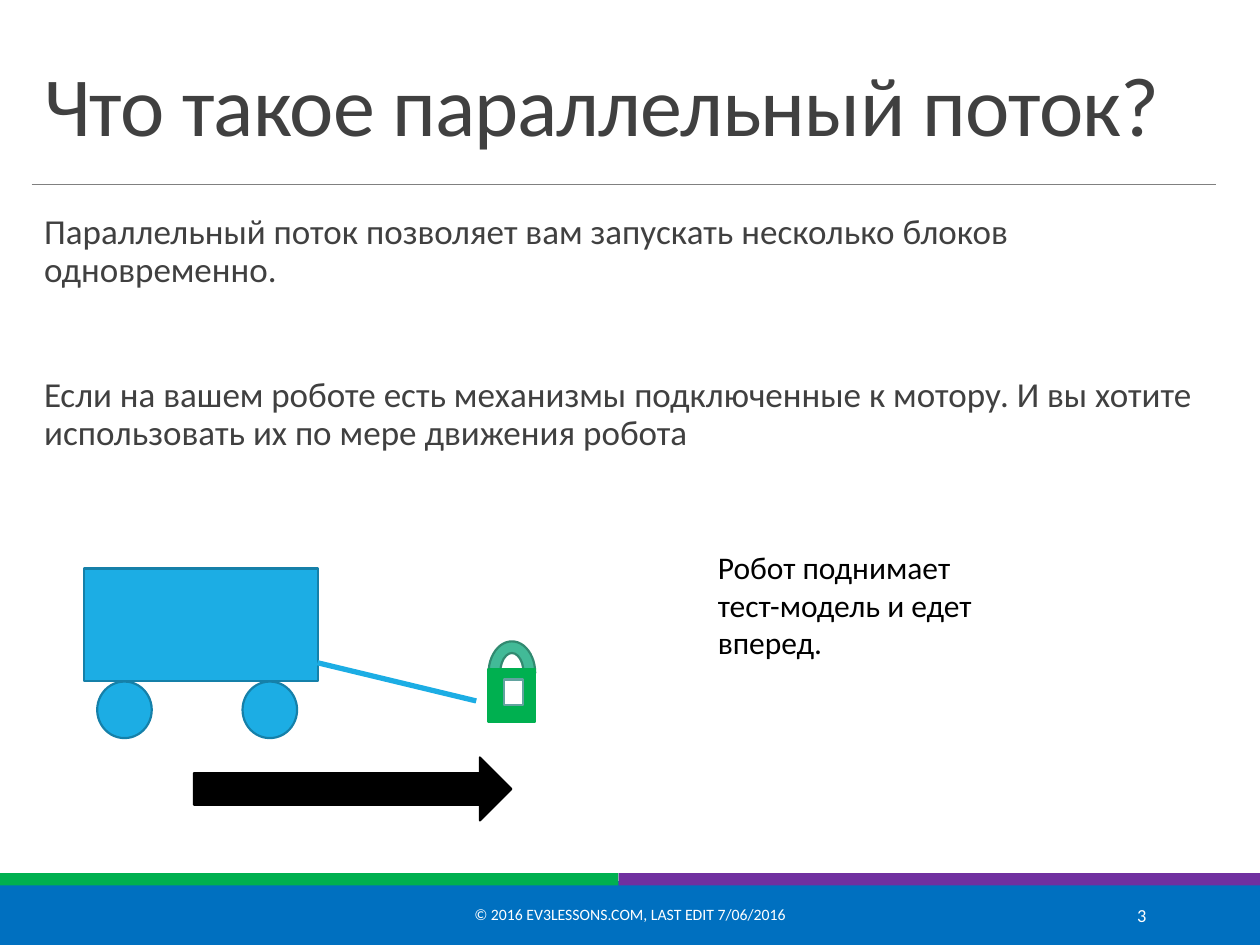
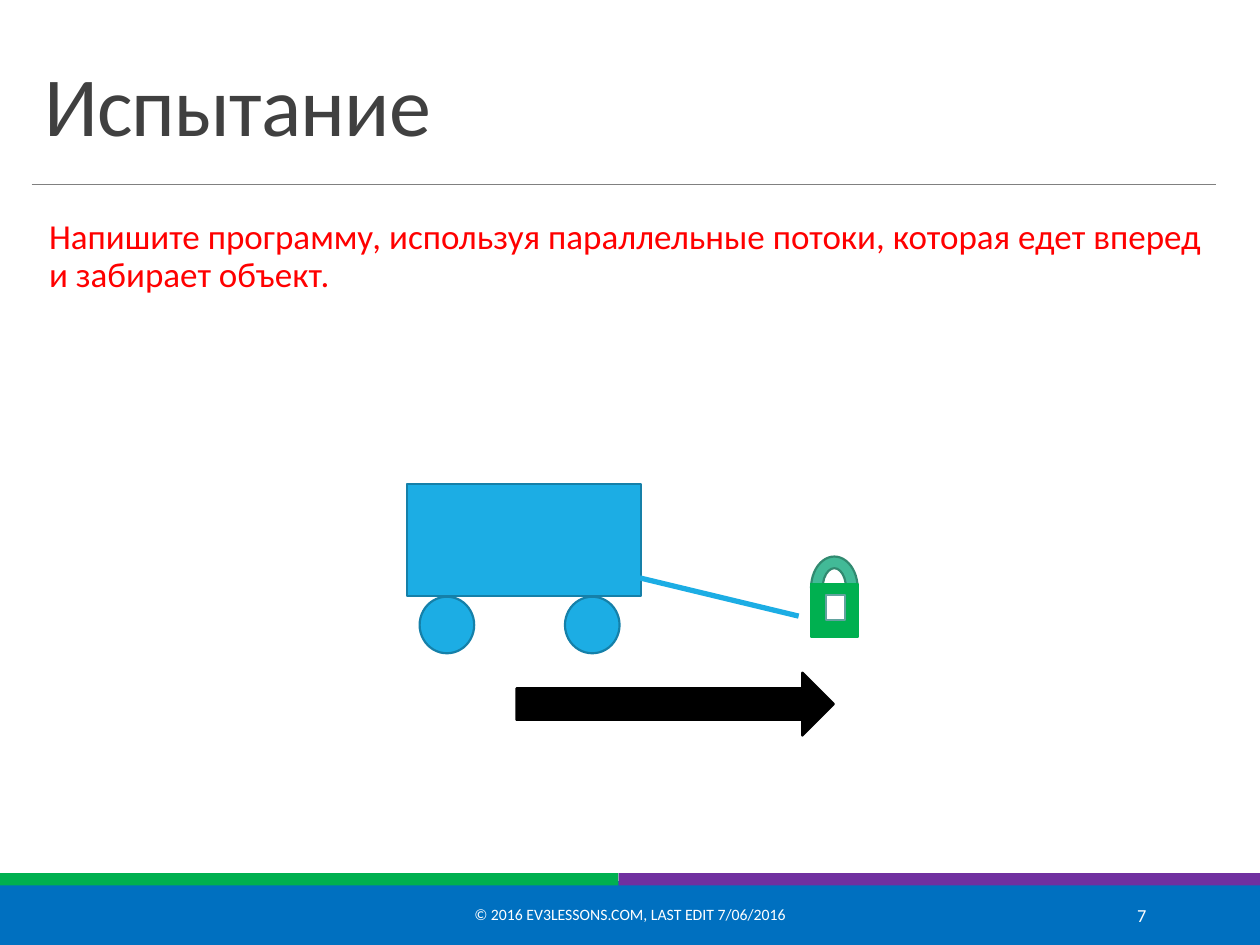
"""Builds two lesson slides on parallel threads for a robot."""
from lxml import etree
from pptx import Presentation
from pptx.dml.color import RGBColor
from pptx.enum import shapes, text
from pptx.oxml import ns
from pptx.util import Cm, Pt

WHITE = RGBColor(0xFF, 0xFF, 0xFF)
BLACK = RGBColor(0, 0, 0)
RED = RGBColor(0xFF, 0, 0)
DARK = RGBColor(0x40, 0x40, 0x40)
GRAY = RGBColor(0x80, 0x80, 0x80)
BLUE = RGBColor(0x00, 0x70, 0xC0)
GREEN = RGBColor(0x00, 0xB0, 0x50)
PURPLE = RGBColor(0x70, 0x30, 0xA0)
SKY = RGBColor(0x1C, 0xAD, 0xE4)
SKY_EDGE = RGBColor(0x15, 0x80, 0xA9)
TEAL = RGBColor(0x42, 0xBA, 0x97)
TEAL_EDGE = RGBColor(0x31, 0x8A, 0x70)
HOLE_EDGE = RGBColor(0x62, 0xA3, 0x9F)

FONT = "Calibri"
WIDTH, HEIGHT = 25.4, 19.05
SPLIT = 12.47
FOOTER = "© 2016 EV3LESSONS.COM, LAST EDIT 7/06/2016"
KIND = shapes.MSO_SHAPE
ALIGN = text.PP_ALIGN
MIDDLE = text.MSO_ANCHOR.MIDDLE

SLIDES = [
    {
        "title": "Что такое параллельный поток?",
        "number": "3",
        "body": [
            "Параллельный поток позволяет вам запускать несколько блоков одновременно.",
            "Если на вашем роботе есть механизмы подключенные к мотору. "
            "И вы хотите использовать их по мере движения робота",
        ],
        "box": (0.64, 4.19, 23.88, 12.93),
        "color": DARK,
        "note": "Робот поднимает тест-модель и едет вперед.",
        "robot": (1.7, 11.46),
    },
    {
        "title": "Испытание",
        "number": "7",
        "body": [
            "Напишите программу, используя параллельные потоки, "
            "которая едет вперед и забирает объект.",
        ],
        "box": (0.74, 4.29, 23.5, 11.1),
        "color": RED,
        "note": None,
        "robot": (8.2, 9.75),
    },
]

SCENE = [
    (KIND.RECTANGLE, (0, 0, 4.72, 2.27), SKY, SKY_EDGE),
    (KIND.OVAL, (0.26, 2.28, 1.1, 1.14), SKY, SKY_EDGE),
    (KIND.OVAL, (3.19, 2.28, 1.1, 1.14), SKY, SKY_EDGE),
    (KIND.BLOCK_ARC, (8.15, 1.47, 0.94, 1.27), TEAL, TEAL_EDGE),
    (KIND.RECTANGLE, (8.15, 2.03, 0.94, 1.07), GREEN, GREEN),
    (KIND.RECTANGLE, (8.46, 2.24, 0.38, 0.51), WHITE, HOLE_EDGE),
    (KIND.RIGHT_ARROW, (2.21, 3.81, 6.4, 1.27), BLACK, BLACK),
]
ARM = (4.7, 1.9, 7.9, 2.67)


def add_shape(slide, kind, box, fill, edge=None):
    shape = slide.shapes.add_shape(kind, *map(Cm, box))
    shape.shadow.inherit = False
    shape.fill.solid()
    shape.fill.fore_color.rgb = fill
    if edge is None:
        shape.line.fill.background()
    else:
        shape.line.color.rgb = edge
        shape.line.width = Pt(1.25)


def add_line(slide, ends, color, width):
    line = slide.shapes.add_connector(
        shapes.MSO_CONNECTOR.STRAIGHT, *map(Cm, ends))
    line.line.color.rgb = color
    line.line.width = Pt(width)
    etree.SubElement(line._element.spPr, ns.qn("a:effectLst"))


def add_text(slide, box, lines, size, color, align=ALIGN.LEFT,
             anchor=text.MSO_ANCHOR.TOP, spacing=None, gap=0):
    frame = slide.shapes.add_textbox(*map(Cm, box)).text_frame
    frame.word_wrap = True
    frame.vertical_anchor = anchor
    frame.text = "\n".join(lines)
    for index, para in enumerate(frame.paragraphs):
        para.alignment = align
        if spacing:
            para.line_spacing = spacing
        if index:
            para.space_before = Pt(gap)
        para.font.name = FONT
        para.font.size = Pt(size)
        para.font.color.rgb = color
    return frame


def add_frame(slide, title, number):
    add_shape(slide, KIND.RECTANGLE, (0, 17.78, WIDTH, 1.27), BLUE, BLUE)
    add_shape(slide, KIND.RECTANGLE, (0, 17.6, SPLIT, 0.25), GREEN)
    add_shape(slide, KIND.RECTANGLE, (SPLIT, 17.6, WIDTH - SPLIT, 0.25), PURPLE)
    add_line(slide, (0.64, 3.71, 24.51, 3.71), GRAY, 0.5)
    head = add_text(slide, (0.64, 0.79, 23.88, 2.44), [title], 48, DARK,
                    anchor=text.MSO_ANCHOR.BOTTOM, spacing=0.85)
    head.paragraphs[0].runs[0].font._element.set("spc", "-50")
    add_text(slide, (7.67, 17.93, 10.06, 1.02), [FOOTER], 9, WHITE,
             ALIGN.CENTER, MIDDLE)
    add_text(slide, (20.62, 17.93, 2.74, 1.02), [number], 10.5, WHITE,
             ALIGN.RIGHT, MIDDLE)


def add_robot(slide, left, top):
    for kind, (x, y, w, h), fill, edge in SCENE:
        add_shape(slide, kind, (left + x, top + y, w, h), fill, edge)
    x1, y1, x2, y2 = ARM
    add_line(slide, (left + x1, top + y1, left + x2, top + y2), SKY, 3)


def main():
    deck = Presentation()
    deck.slide_width, deck.slide_height = Cm(WIDTH), Cm(HEIGHT)
    for page in SLIDES:
        slide = deck.slides.add_slide(deck.slide_layouts[6])
        add_frame(slide, page["title"], page["number"])
        body = add_text(slide, page["box"], page["body"], 20, page["color"],
                        spacing=0.9, gap=50)
        body.margin_right = 0
        if page["note"]:
            add_text(slide, (14.22, 10.92, 5.77, 2.57), [page["note"]], 18, BLACK)
        add_robot(slide, *page["robot"])
    deck.save("out.pptx")


if __name__ == "__main__":
    main()
